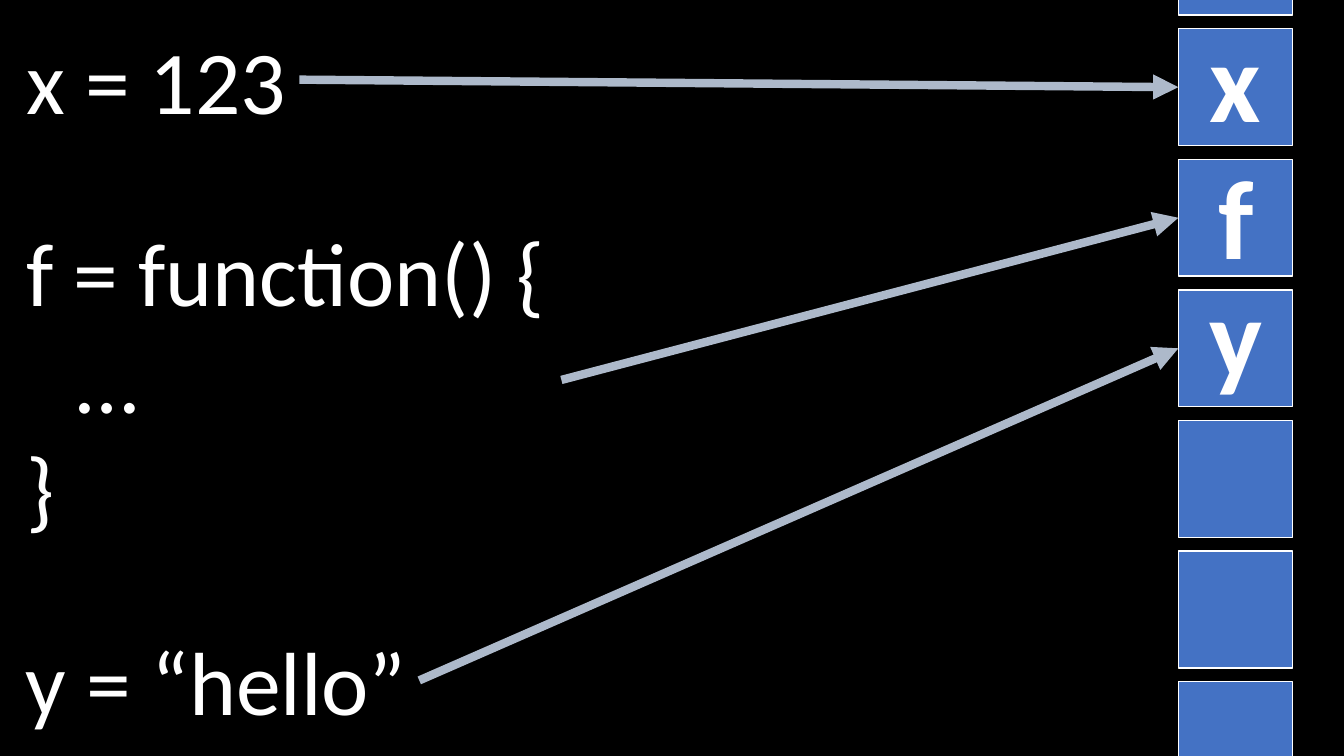
from lxml.etree import SubElement
from pptx import Presentation
from pptx.dml.color import RGBColor
from pptx.enum.shapes import MSO_CONNECTOR, MSO_SHAPE
from pptx.enum.text import MSO_AUTO_SIZE
from pptx.oxml.ns import qn
from pptx.util import Pt


def color(hex_string):
    return RGBColor.from_string(hex_string)


def add_text(page, left, top, width, height, lines, size, bold=False):
    box = page.shapes.add_textbox(Pt(left), Pt(top), Pt(width), Pt(height))
    frame = box.text_frame
    frame.word_wrap = False
    frame.auto_size = MSO_AUTO_SIZE.SHAPE_TO_FIT_TEXT
    font_format = {"name": "Calibri", "size": Pt(size), "bold": bold}
    for number, line in enumerate(lines):
        para = frame.add_paragraph() if number else frame.paragraphs[0]
        if line.startswith("\t"):
            tabs = SubElement(para._p.get_or_add_pPr(), qn("a:tabLst"))
            SubElement(tabs, qn("a:tab"), pos=str(Pt(36)), algn="l")
        span = para.add_run()
        span.text = line
        for name, value in font_format.items():
            setattr(span.font, name, value)
        span.font.color.rgb = color("FFFFFF")


deck = Presentation()
deck.slide_width, deck.slide_height = Pt(960), Pt(540)
page = deck.slides.add_slide(deck.slide_layouts[6])
page.background.fill.solid()
page.background.fill.fore_color.rgb = color("000000")

# Column of memory cells
cell_left, cell_width, cell_height = 841.7, 81.5, 83.5
first_top, pitch = -72.7, 93.25
for row in range(7):
    cell = page.shapes.add_shape(
        MSO_SHAPE.RECTANGLE, Pt(cell_left), Pt(first_top + row * pitch),
        Pt(cell_width), Pt(cell_height))
    cell.shadow.inherit = False
    cell.fill.solid()
    cell.fill.fore_color.rgb = color("4472C4")
    cell.line.color.rgb = color("FFFFFF")
    cell.line.width = Pt(1)

# Variable names on the cells: name, left, top, width
for name, left, top, width in [
    ("x", 856.8, 4.3, 51.8),
    ("y", 856.8, 185.8, 52.6),
    ("f", 863.3, 101.5, 40.3),
]:
    add_text(page, left, top, width, 104.4, [name], 80, bold=True)

# Code: top, width, height, lines
for top, width, height, lines in [
    (14.4, 202.3, 85, ["x = 123"]),
    (443.5, 288, 85, ["y = “hello”"]),
    (151.2, 389.5, 239.8, ["f = function() {", "\t…", "}"]),
]:
    add_text(page, 11.5, top, width, height, lines, 64)

# Arrows from the code to the middle of cells 1 to 3
for row, (start_x, start_y) in enumerate(
        [(213.8, 56.9), (401, 271.4), (299.5, 486)], start=1):
    end_y = first_top + row * pitch + cell_height / 2
    arrow = page.shapes.add_connector(
        MSO_CONNECTOR.STRAIGHT, Pt(start_x), Pt(start_y), Pt(cell_left), Pt(end_y))
    arrow.line.color.rgb = color("ADB9CA")
    arrow.line.width = Pt(6)
    SubElement(arrow.line._get_or_add_ln(), qn("a:tailEnd"), type="triangle")
    SubElement(arrow._element.spPr, qn("a:effectLst"))

deck.save("out.pptx")
